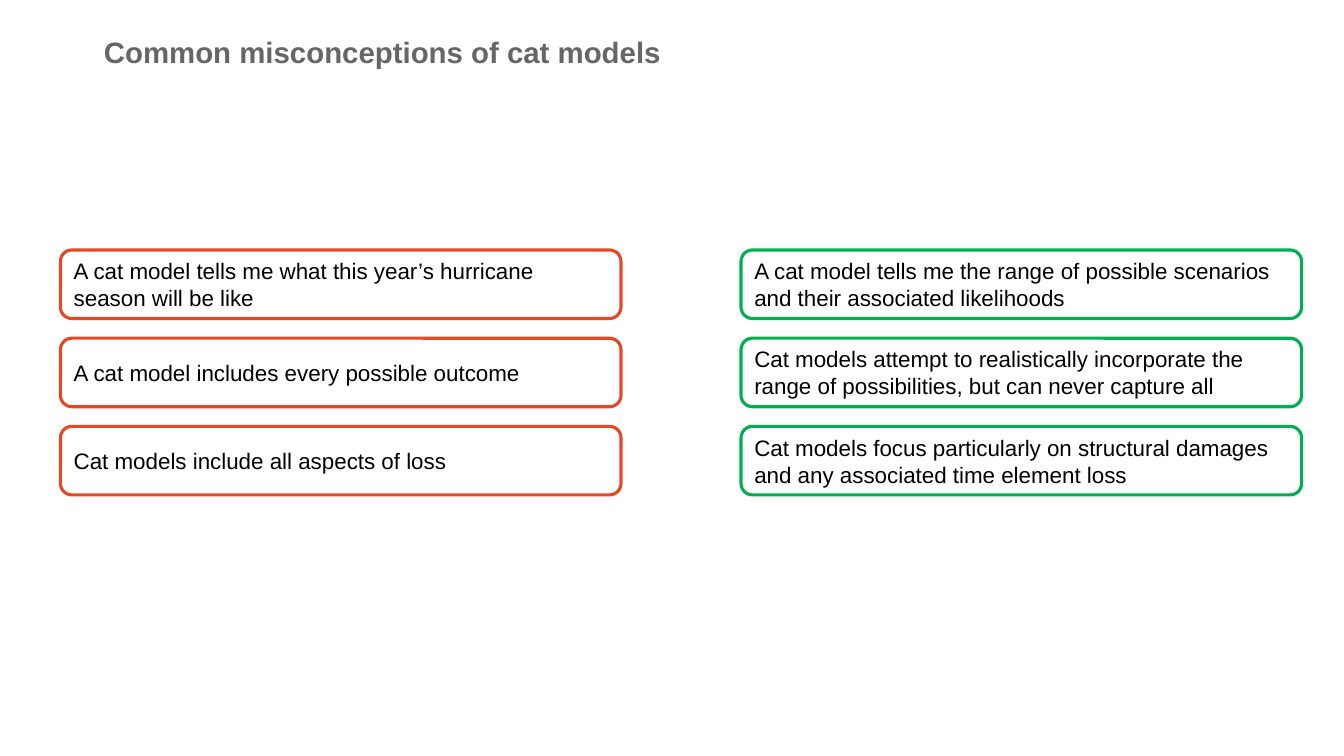
"""Build a slide that sets cat model misconceptions beside their corrections."""
import pptx
import pptx.dml.color
import pptx.enum.shapes
import pptx.enum.text
import pptx.util
from pptx.util import Inches

COLORS = {
    "title": "666666",
    "text": "000000",
    "fill": "FFFFFF",
    "misconception": "E64823",
    "correction": "00B050",
}


def write_text(shape, text, size, color, bold=False):
    frame = shape.text_frame
    frame.word_wrap = True
    frame.vertical_anchor = pptx.enum.text.MSO_ANCHOR.MIDDLE
    para = frame.paragraphs[0]
    para.alignment = pptx.enum.text.PP_ALIGN.LEFT
    span = para.add_run()
    span.text = text
    span.font.name = "Arial"
    span.font.size = pptx.util.Pt(size)
    span.font.bold = bold
    span.font.color.rgb = pptx.dml.color.RGBColor.from_string(COLORS[color])


deck = pptx.Presentation()
deck.slide_width = Inches(13.33)
deck.slide_height = Inches(7.5)
page = deck.slides.add_slide(deck.slide_layouts.get_by_name("Title Only"))

title = page.shapes.title
title.left, title.top = Inches(0.93), Inches(0.28)
title.width, title.height = Inches(10.74), Inches(0.46)
write_text(title, "Common misconceptions of cat models", size=21, color="title", bold=True)

columns = [("misconception", 0.6), ("correction", 7.35)]
rows = [
    (
        "A cat model tells me what this year’s hurricane season will be like",
        "A cat model tells me the range of possible scenarios and their associated likelihoods",
    ),
    (
        "A cat model includes every possible outcome",
        "Cat models attempt to realistically incorporate the range of possibilities, "
        "but can never capture all",
    ),
    (
        "Cat models include all aspects of loss",
        "Cat models focus particularly on structural damages and any associated time element loss",
    ),
]
first_top, row_pitch = 2.48, 0.875

for index, statements in enumerate(rows):
    top = first_top + index * row_pitch
    for (outline, left), statement in zip(columns, statements):
        box = page.shapes.add_shape(
            pptx.enum.shapes.MSO_SHAPE.ROUNDED_RECTANGLE,
            Inches(left), Inches(top), Inches(5.56), Inches(0.68),
        )
        box.shadow.inherit = False
        box.fill.solid()
        box.fill.fore_color.rgb = pptx.dml.color.RGBColor.from_string(COLORS["fill"])
        box.line.color.rgb = pptx.dml.color.RGBColor.from_string(COLORS[outline])
        box.line.width = pptx.util.Pt(2.25)
        write_text(box, statement, size=16, color="text")

deck.save("out.pptx")
